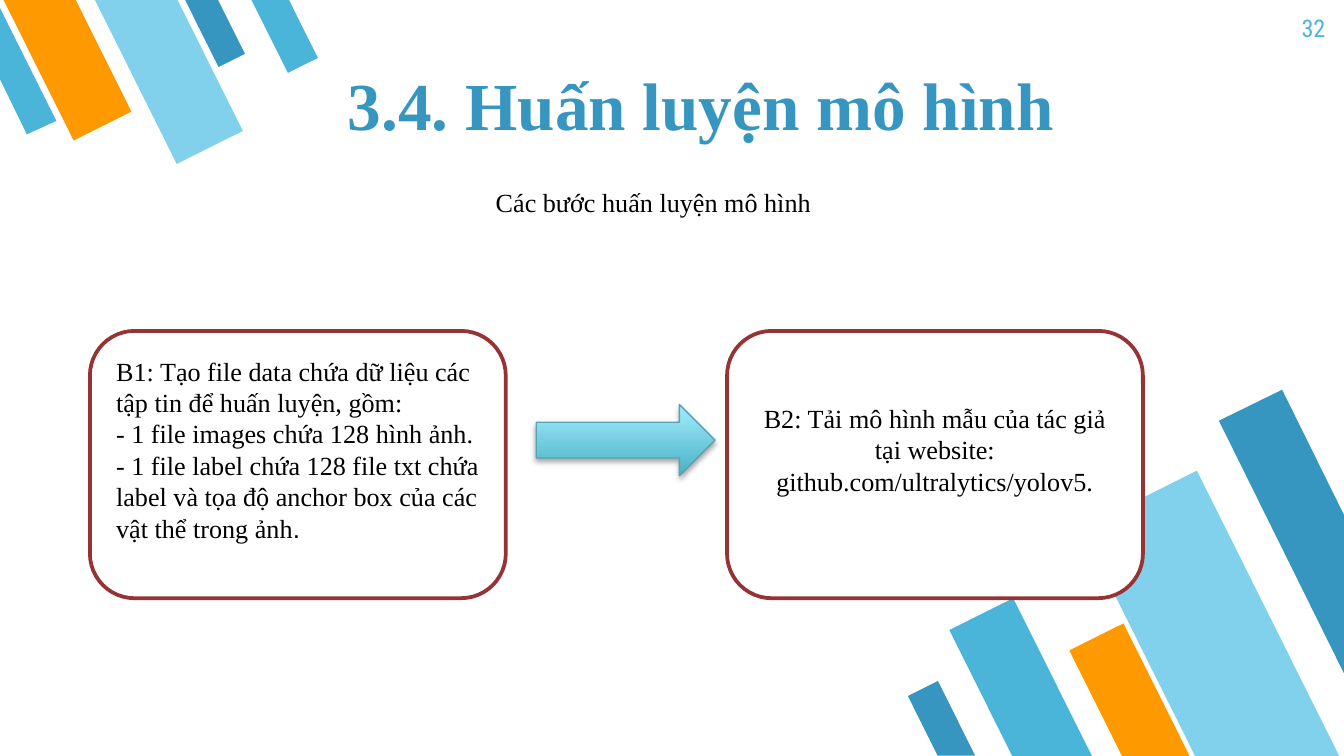
from dataclasses import dataclass

from lxml import etree
from pptx import Presentation
from pptx import util as u
from pptx.dml.color import RGBColor
from pptx.enum import shapes, text
from pptx.oxml.ns import qn

Pt = u.Pt
SHAPE = shapes.MSO_SHAPE
ALIGN = text.PP_ALIGN
ANCHOR = text.MSO_ANCHOR


@dataclass(frozen=True)
class Theme:
    sky: str = "4BB5D9"
    pale: str = "81D1EC"
    orange: str = "FF9900"
    blue: str = "3796BF"
    maroon: str = "963334"
    white: str = "FFFFFF"
    black: str = "000000"
    arrow_line: str = "53A5B3"
    arrow_fill: tuple = ("49B1C3", "A2EDFF")
    serif: str = "Times New Roman"
    condensed: str = "Roboto Condensed"
    sans: str = "Arial"
    title: int = 36
    body: int = 14
    number: int = 13


class Deck:
    """Builds the elements of one slide in a shared theme."""

    def __init__(self, theme):
        self.t = theme
        self.prs = Presentation()
        self.prs.slide_width, self.prs.slide_height = Pt(720), Pt(405)
        self.s = self.prs.slides.add_slide(self.prs.slide_layouts[6])

    def paint(self, sp, fill, line=None, width=0):
        sp.shadow.inherit = False
        sp.fill.solid()
        sp.fill.fore_color.rgb = RGBColor.from_string(fill)
        if line:
            sp.line.color.rgb = RGBColor.from_string(line)
            sp.line.width = Pt(width)
        else:
            sp.line.fill.background()

    def shape(self, kind, box):
        return self.s.shapes.add_shape(kind, *map(Pt, box))

    def style_run(self, r, size, color, font, bold=False):
        r.font.size, r.font.name, r.font.bold = Pt(size), font, bold
        r.font.color.rgb = RGBColor.from_string(color)

    def set_text(self, tf, content, size, color, font, align=ALIGN.LEFT, bold=False):
        tf.text = content
        for p in tf.paragraphs:
            p.alignment = align
            for r in p.runs:
                self.style_run(r, size, color, font, bold)

    def stripe(self, box, color, angle):
        sp = self.shape(SHAPE.FLOWCHART_MANUAL_INPUT, box)
        sp.rotation = angle
        sp._element.spPr.find(qn("a:xfrm")).set("flipH", "1")
        self.paint(sp, color)

    def cut_stripe(self, points, color):
        start, *rest = [(Pt(x), Pt(y)) for x, y in points]
        fb = self.s.shapes.build_freeform(*start)
        fb.add_line_segments(rest, close=True)
        self.paint(fb.convert_to_shape(), color)

    def label(self, box, content, size, color, font, inset=7.2, anchor=ANCHOR.TOP, wrap=True, **style):
        tf = self.s.shapes.add_textbox(*map(Pt, box)).text_frame
        tf.word_wrap, tf.vertical_anchor = wrap, anchor
        tf.margin_top = tf.margin_bottom = Pt(inset)
        self.set_text(tf, content, size, color, font, **style)

    def step(self, left, content, align):
        sp = self.shape(SHAPE.ROUNDED_RECTANGLE, (left, 177.3, 222.8, 143.2))
        self.paint(sp, self.t.white, self.t.maroon, 2)
        tf = sp.text_frame
        tf.word_wrap, tf.vertical_anchor = True, ANCHOR.MIDDLE
        tf.margin_bottom = Pt(20)
        self.set_text(tf, content, self.t.body, self.t.black, self.t.serif, align)
        return tf

    def arrow(self, box):
        sp = self.shape(SHAPE.RIGHT_ARROW, box)
        self.paint(sp, self.t.white, self.t.arrow_line, 0.75)
        sp.fill.gradient()
        sp.fill.gradient_angle = 90
        for stop, color in zip(sp.fill.gradient_stops, self.t.arrow_fill):
            stop.color.rgb = RGBColor.from_string(color)
        effects = sp._element.spPr.find(qn("a:effectLst"))
        shadow = etree.SubElement(effects, qn("a:outerShdw"), blurRad=str(Pt(3.1)),
                                  dist=str(Pt(1.8)), dir="5400000", rotWithShape="0")
        color = etree.SubElement(shadow, qn("a:srgbClr"), val=self.t.black)
        etree.SubElement(color, qn("a:alpha"), val="35000")


def main():
    t = Theme()
    d = Deck(t)
    stripes = {
        153.5: [
            ((527.8, 324, 38.2, 95), t.sky),
            ((614.2, 258.5, 69.1, 172.1), t.pale),
            ((589, 337, 32.4, 79.9), t.orange),
            ((495.4, 366.5, 18, 44.6), t.blue),
        ],
        333.5: [
            ((107.3, -5.8, 15.8, 40.3), t.blue),
            ((18.7, -13, 34.6, 85), t.orange),
            ((70.6, -14.4, 39.6, 98.6), t.pale),
            ((143.3, -7.2, 18, 44.6), t.sky),
        ],
    }
    for angle, group in stripes.items():
        for box, color in group:
            d.stripe(box, color, angle)
    d.cut_stripe([(686.9, 208.8), (653, 225.4), (720, 360.7), (720, 275.8)], t.blue)
    d.cut_stripe([(14.4, 72), (30.2, 64.8), (0, 4.3), (0, 42.5)], t.sky)

    d.label((179.3, 31, 453.6, 53.3), "3.4. Huấn luyện mô hình", t.title, t.blue, t.serif,
            anchor=ANCHOR.BOTTOM, bold=True)
    d.label((673.9, 0, 43.2, 31), "32", t.number, t.sky, t.condensed, align=ALIGN.RIGHT)
    d.label((258.5, 96.5, 188.6, 24.5), "Các bước huấn luyện mô hình", t.body, t.black, t.serif,
            inset=3.6, wrap=False)

    tf = d.step(48.2, "B1: Tạo file data chứa dữ liệu các tập tin để huấn luyện, gồm:\n"
                "- 1 file images chứa 128 hình ảnh.\n"
                "- 1 file label chứa 128 file txt chứa label và tọa độ anchor box của các vật thể trong ảnh",
                ALIGN.LEFT)
    r = tf.paragraphs[-1].add_run()
    r.text = "."
    d.style_run(r, t.body, t.black, t.sans)
    d.step(389.5, "B2: Tải mô hình mẫu của tác giả tại website: github.com/ultralytics/yolov5.",
           ALIGN.CENTER)
    d.arrow((287.3, 216.7, 95.8, 38.2))
    d.prs.save("out.pptx")


if __name__ == "__main__":
    main()
